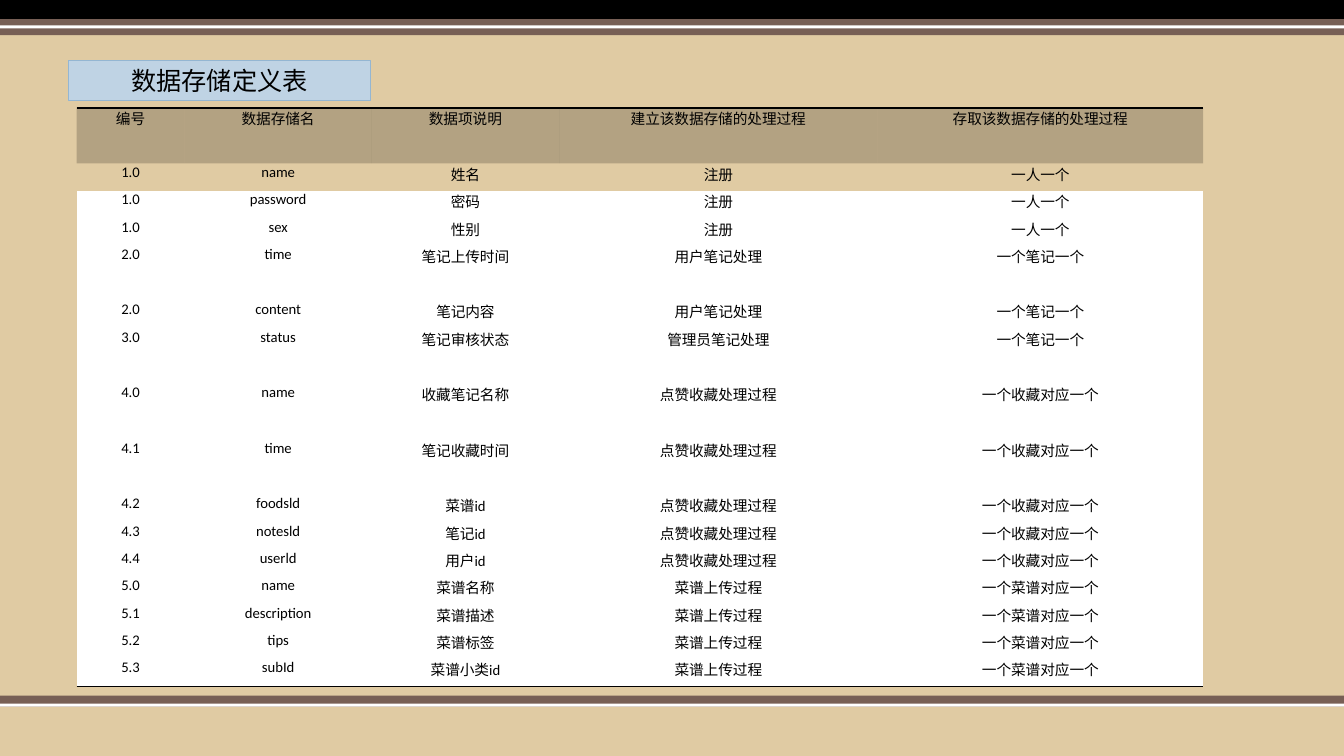
from lxml import etree
from pptx import Presentation
from pptx.dml.color import RGBColor
from pptx.enum.shapes import MSO_SHAPE
from pptx.enum.text import MSO_ANCHOR, PP_ALIGN
from pptx.oxml.ns import qn
from pptx.util import Cm, Pt

RECTANGLE = MSO_SHAPE.RECTANGLE
MIDDLE = MSO_ANCHOR.MIDDLE
CENTER = PP_ALIGN.CENTER

COLORS = {
    "sand": "E0CBA3",
    "brown": "775F55",
    "white": "FFFFFF",
    "black": "000000",
    "title_fill": "BFD3E4",
    "title_line": "94B6D2",
}
FONT = "Calibri"
NO_STYLE_NO_GRID = "{2D5ABB26-0587-4C30-8999-92F81FD0307C}"
SLIDE_WIDTH, SLIDE_HEIGHT = 33.87, 19.05

# Top, height and colour of the full-width bars
BARS = [
    (17.53, 0.28, "brown"),
    (17.73, 0.08, "white"),
    (0, 0.48, "black"),
    (0.48, 0.41, "brown"),
    (0.64, 0.08, "white"),
]

COLUMN_WIDTHS = [2.72, 4.72, 4.72, 8.03, 8.2]
SHORT_ROW, TALL_ROW = 0.69, 1.4
TALL_ROWS = {0, 4, 6, 7, 8}

DATA_STORES = [
    ("编号", "数据存储名", "数据项说明", "建立该数据存储的处理过程", "存取该数据存储的处理过程"),
    ("1.0", "name", "姓名", "注册", "一人一个"),
    ("1.0", "password", "密码", "注册", "一人一个"),
    ("1.0", "sex", "性别", "注册", "一人一个"),
    ("2.0", "time", "笔记上传时间", "用户笔记处理", "一个笔记一个"),
    ("2.0", "content", "笔记内容", "用户笔记处理", "一个笔记一个"),
    ("3.0", "status", "笔记审核状态", "管理员笔记处理", "一个笔记一个"),
    ("4.0", "name", "收藏笔记名称", "点赞收藏处理过程", "一个收藏对应一个"),
    ("4.1", "time", "笔记收藏时间", "点赞收藏处理过程", "一个收藏对应一个"),
    ("4.2", "foodsld", "菜谱id", "点赞收藏处理过程", "一个收藏对应一个"),
    ("4.3", "notesld", "笔记id", "点赞收藏处理过程", "一个收藏对应一个"),
    ("4.4", "userld", "用户id", "点赞收藏处理过程", "一个收藏对应一个"),
    ("5.0", "name", "菜谱名称", "菜谱上传过程", "一个菜谱对应一个"),
    ("5.1", "description", "菜谱描述", "菜谱上传过程", "一个菜谱对应一个"),
    ("5.2", "tips", "菜谱标签", "菜谱上传过程", "一个菜谱对应一个"),
    ("5.3", "subId", "菜谱小类id", "菜谱上传过程", "一个菜谱对应一个"),
]


class SlideBuilder:
    def __init__(self, slide):
        self.slide = slide

    def color(self, name):
        return RGBColor.from_string(COLORS[name])

    def background(self, color):
        fill = self.slide.background.fill
        fill.solid()
        fill.fore_color.rgb = self.color(color)

    def set_text(self, text_frame, text, size):
        paragraph = text_frame.paragraphs[0]
        paragraph.text = text
        paragraph.alignment = CENTER
        paragraph.font.name = FONT
        paragraph.font.size = Pt(size)
        paragraph.font.color.rgb = self.color("black")

    def rectangle(self, left, top, width, height, fill, line=None):
        shape = self.slide.shapes.add_shape(
            RECTANGLE, Cm(left), Cm(top), Cm(width), Cm(height))
        shape.shadow.inherit = False
        shape.fill.solid()
        shape.fill.fore_color.rgb = self.color(fill)
        if line:
            shape.line.color.rgb = self.color(line)
            shape.line.width = Pt(0.75)
        else:
            shape.line.fill.background()
        return shape

    def title(self, text, left, top, width, height):
        shape = self.rectangle(left, top, width, height, "title_fill", "title_line")
        shape.text_frame.vertical_anchor = MIDDLE
        self.set_text(shape.text_frame, text, 18)

    def fill_cell(self, cell, color, opacity=100):
        cell.fill.solid()
        cell.fill.fore_color.rgb = self.color(color)
        if opacity < 100:
            properties = cell._tc.get_or_add_tcPr()
            color_element = properties.find(".//" + qn("a:srgbClr"))
            etree.SubElement(color_element, qn("a:alpha"), val=str(opacity * 1000))

    def border(self, cell, edge):
        properties = cell._tc.get_or_add_tcPr()
        line = etree.Element(qn(f"a:{edge}"), w=str(Pt(1)))
        solid = etree.SubElement(line, qn("a:solidFill"))
        etree.SubElement(solid, qn("a:srgbClr"), val=COLORS["black"])
        properties.insert(0, line)

    def table(self, rows, left, top):
        heights = [TALL_ROW if index in TALL_ROWS else SHORT_ROW
                   for index in range(len(rows))]
        frame = self.slide.shapes.add_table(
            len(rows), len(COLUMN_WIDTHS), Cm(left), Cm(top),
            Cm(sum(COLUMN_WIDTHS)), Cm(sum(heights)))
        frame.element.find(".//" + qn("a:tableStyleId")).text = NO_STYLE_NO_GRID
        table = frame.table
        table.first_row = table.horz_banding = False
        for column, width in zip(table.columns, COLUMN_WIDTHS):
            column.width = Cm(width)
        for row_index, values in enumerate(rows):
            table.rows[row_index].height = Cm(heights[row_index])
            for column_index, value in enumerate(values):
                cell = table.cell(row_index, column_index)
                cell.margin_left = cell.margin_right = Cm(0.19)
                cell.margin_top = cell.margin_bottom = 0
                self.set_text(cell.text_frame, value, 10.5)
                # Tinted header, clear first record, white records below
                if row_index == 0:
                    self.fill_cell(cell, "black", opacity=20)
                    self.border(cell, "lnT")
                elif row_index == 1:
                    cell.fill.background()
                else:
                    self.fill_cell(cell, "white")
                if row_index == len(rows) - 1:
                    self.border(cell, "lnB")


def main():
    presentation = Presentation()
    presentation.slide_width = Cm(SLIDE_WIDTH)
    presentation.slide_height = Cm(SLIDE_HEIGHT)
    builder = SlideBuilder(presentation.slides.add_slide(presentation.slide_layouts[6]))

    # Background and bars
    builder.background("sand")
    for top, height, color in BARS:
        builder.rectangle(0, top, SLIDE_WIDTH, height, color)

    # Title and table
    builder.title("数据存储定义表", 1.73, 1.52, 7.6, 1.02)
    builder.table(DATA_STORES, 1.93, 2.72)

    presentation.save("out.pptx")


if __name__ == "__main__":
    main()
